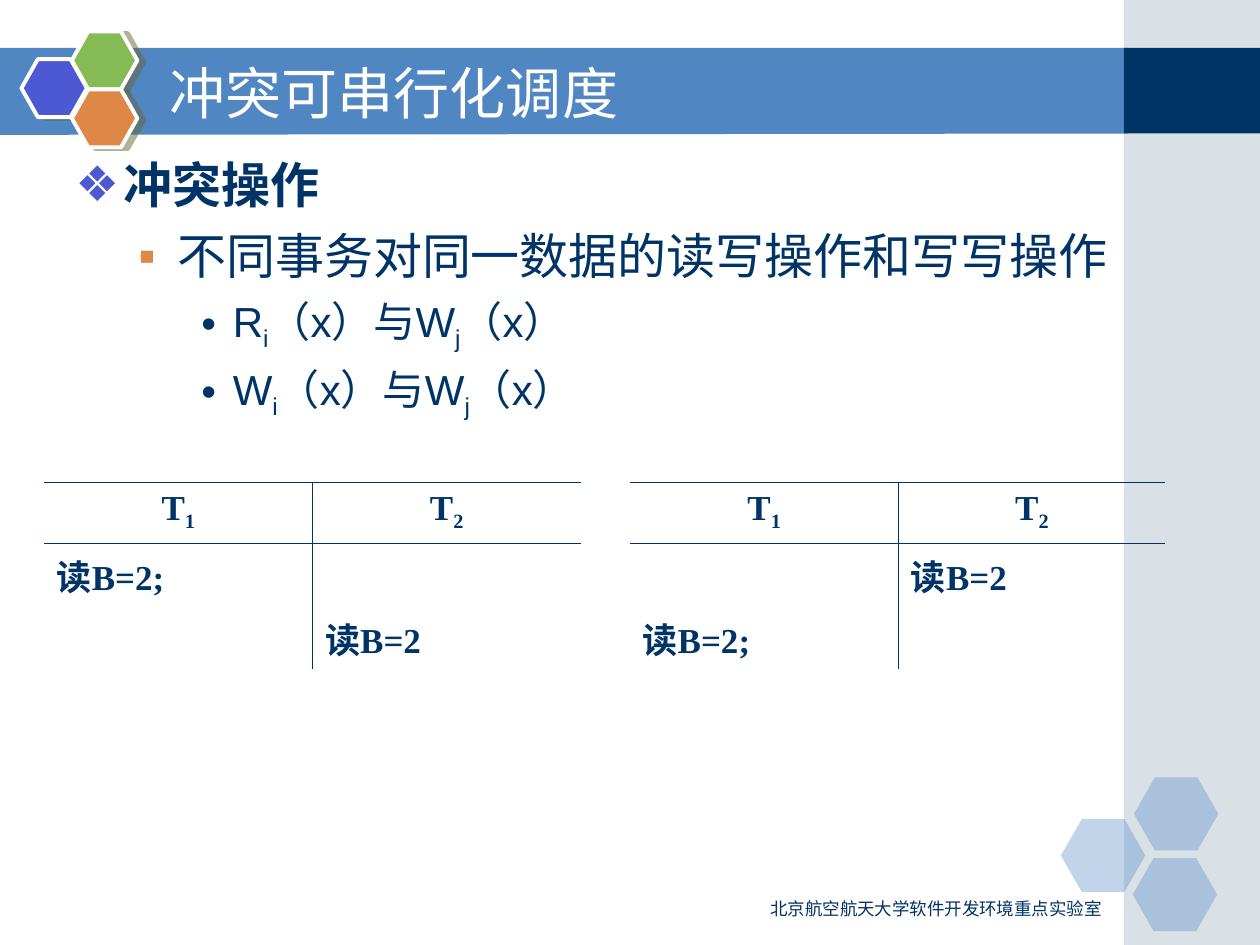
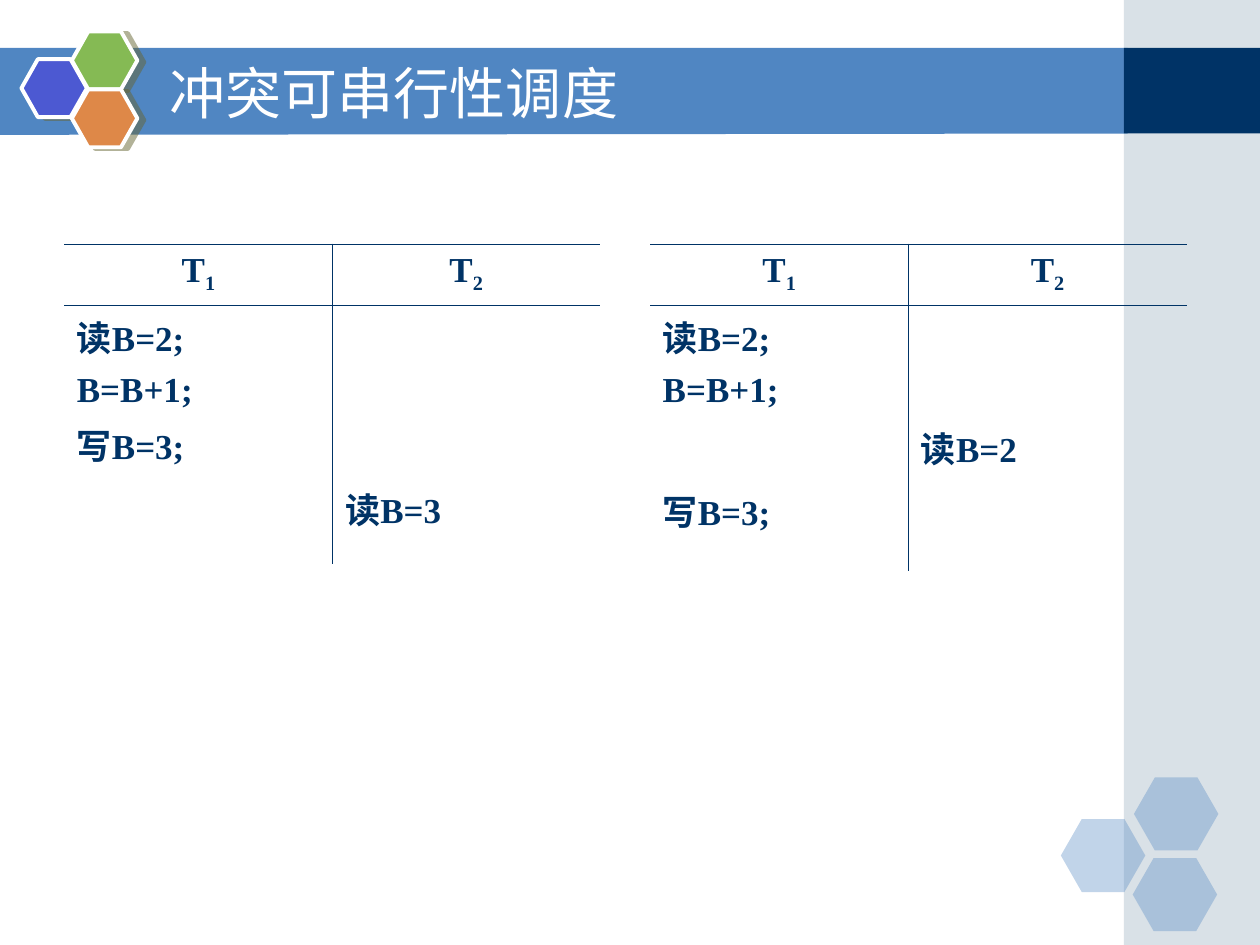
import pptx
import pptx.util
import pptx.dml.color
import pptx.enum.shapes
import pptx.enum.text
import pptx.oxml.ns
import lxml.etree

Inches = pptx.util.Inches
Pt = pptx.util.Pt
qn = pptx.oxml.ns.qn
SHAPE = pptx.enum.shapes.MSO_SHAPE
ALIGN = pptx.enum.text.PP_ALIGN

COLORS = {
    "navy": "003366", "band": "5086C2", "strip": "A0B5C4", "white": "FFFFFF",
    "violet": "4C59D2", "green": "85BA54", "orange": "DE8848", "shadow": "666633",
}
NO_GRID_STYLE = "{2D5ABB26-0587-4C30-8999-92F81FD0307C}"

SIDE_PANELS = [("strip", 0, 7.5, 40), ("navy", 0.38, 0.68, 100)]
CORNER_HEXAGONS = [(8.42, 6.5), (9, 6.17), (8.99, 6.81)]
BADGE_HEXAGONS = [("violet", 0.17, 0.47), ("green", 0.57, 0.25), ("orange", 0.57, 0.71)]

LEVELS = [
    {"indent": 0.38, "hang": 0.38, "before": 7, "bullet": "❖", "color": "violet", "size": 28},
    {"indent": 0.81, "hang": 0.31, "before": 7, "bullet": "▪", "color": "orange", "size": 28},
    {"indent": 1.25, "hang": 0.25, "before": 6, "bullet": "•", "color": "navy", "size": 24},
]
OUTLINE = [
    (0, "冲突操作"),
    (1, "不同事务对同一数据的读写操作和写写操作"),
    (2, "R_i（x）与W_j（x）"),
    (2, "W_i（x）与W_j（x）"),
]
HEADER = ("T_1", "T_2")
PAGES = [
    {
        "title": "冲突可串行化调度",
        "outline": OUTLINE,
        "footer": "北京航空航天大学软件开发环境重点实验室",
        "schedules": [
            (0.35, 3.83, [2.13, 2.13], [0.48, 0.5, 0.5],
             [HEADER, ("读B=2;", ""), ("", "读B=2")]),
            (5, 3.83, [2.13, 2.12], [0.48, 0.5, 0.5],
             [HEADER, ("", "读B=2"), ("读B=2;", "")]),
        ],
    },
    {
        "title": "冲突可串行性调度",
        "outline": [],
        "footer": "",
        "schedules": [
            (0.51, 1.94, [2.13, 2.12], [0.48, 1.36, 0.7],
             [HEADER, ("读B=2;\nB=B+1;\n写B=3;", ""), ("", "读B=3")]),
            (5.16, 1.94, [2.05, 2.21], [0.48, 0.88, 0.5, 0.73],
             [HEADER, ("读B=2;\nB=B+1;", ""), ("", "读B=2"), ("写B=3;", "")]),
        ],
    },
]


def paint(shape, color, opacity=100):
    shape.shadow.inherit = False
    shape.line.fill.background()
    shape.fill.solid()
    shape.fill.fore_color.rgb = pptx.dml.color.RGBColor.from_string(COLORS[color])
    if opacity < 100:
        tint = shape.fill._xPr.find(qn("a:solidFill"))[0]
        lxml.etree.SubElement(tint, qn("a:alpha"), val=str(opacity * 1000))


def write(para, text, size, font, color="navy", bold=False):
    first, *marked = text.split("_")
    pieces = [(first, False)]
    for part in marked:
        pieces += [(part[0], True), (part[1:], False)]
    for piece, subscript in pieces:
        if not piece:
            continue
        span = para.add_run()
        span.text = piece
        span.font.size = Pt(size)
        span.font.name = font
        span.font.bold = bold
        span.font.color.rgb = pptx.dml.color.RGBColor.from_string(COLORS[color])
        if subscript:
            span._r.get_or_add_rPr().set("baseline", "-25000")


deck = pptx.Presentation()
deck.slide_width = Inches(10)
deck.slide_height = Inches(7.5)

for content in PAGES:
    page = deck.slides.add_slide(deck.slide_layouts[6])

    outline = page.shapes.build_freeform(Inches(-0.01), Inches(0.38))
    outline.add_line_segments(
        [(Inches(x), Inches(y)) for x, y in [(8.95, 0.38), (8.95, 1.06), (-0.01, 1.07)]])
    paint(outline.convert_to_shape(), "band")

    for color, top, height, opacity in SIDE_PANELS:
        panel = page.shapes.add_shape(
            SHAPE.RECTANGLE, Inches(8.92), Inches(top), Inches(1.08), Inches(height))
        paint(panel, color, opacity)

    for left, top in CORNER_HEXAGONS:
        hexagon = page.shapes.add_shape(
            SHAPE.HEXAGON, Inches(left), Inches(top), Inches(0.67), Inches(0.58))
        hexagon.adjustments[0] = 0.286
        paint(hexagon, "band", 35)

    for color, left, top in BADGE_HEXAGONS:
        hexagon = page.shapes.add_shape(
            SHAPE.HEXAGON, Inches(left), Inches(top), Inches(0.52), Inches(0.46))
        hexagon.adjustments[0] = 0.283
        paint(hexagon, color)
        hexagon.line.color.rgb = pptx.dml.color.RGBColor.from_string(COLORS["white"])
        hexagon.line.width = Pt(2.25)
        effects = hexagon._element.spPr.find(qn("a:effectLst"))
        shadow = lxml.etree.SubElement(
            effects, qn("a:outerShdw"), dist=str(Pt(4.1)), dir=str(14 * 60000),
            algn="ctr", rotWithShape="0")
        tint = lxml.etree.SubElement(shadow, qn("a:srgbClr"), val=COLORS["shadow"])
        lxml.etree.SubElement(tint, qn("a:alpha"), val="50000")

    box = page.shapes.add_textbox(Inches(1.25), Inches(0.42), Inches(7.33), Inches(0.62))
    box.text_frame.word_wrap = True
    box.text_frame.vertical_anchor = pptx.enum.text.MSO_ANCHOR.MIDDLE
    write(box.text_frame.paragraphs[0], content["title"], 32, "DejaVu Sans", "white")

    if content["outline"]:
        box = page.shapes.add_textbox(Inches(0.5), Inches(1.18), Inches(9), Inches(5.74))
        frame = box.text_frame
        frame.word_wrap = True
        for number, (depth, text) in enumerate(content["outline"]):
            level = LEVELS[depth]
            para = frame.add_paragraph() if number else frame.paragraphs[0]
            para.level = depth
            para.space_before = Pt(level["before"])
            props = para._p.get_or_add_pPr()
            props.set("marL", str(Inches(level["indent"])))
            props.set("indent", str(-Inches(level["hang"])))
            tint = lxml.etree.SubElement(props, qn("a:buClr"))
            lxml.etree.SubElement(tint, qn("a:srgbClr"), val=COLORS[level["color"]])
            lxml.etree.SubElement(props, qn("a:buFont"), typeface="Arial")
            lxml.etree.SubElement(props, qn("a:buChar"), char=level["bullet"])
            font = "Arial" if depth else "DejaVu Sans"
            write(para, text, level["size"], font, bold=depth == 0)

    if content["footer"]:
        box = page.shapes.add_textbox(Inches(5.67), Inches(7.08), Inches(3.17), Inches(0.26))
        box.text_frame.word_wrap = True
        para = box.text_frame.paragraphs[0]
        para.alignment = ALIGN.RIGHT
        write(para, content["footer"], 10, "DejaVu Sans")

    for left, top, widths, heights, rows in content["schedules"]:
        table = page.shapes.add_table(
            len(rows), len(widths), Inches(left), Inches(top),
            Inches(sum(widths)), Inches(sum(heights))).table
        table.first_row = False
        table.horz_banding = False
        table._tbl.tblPr.find(qn("a:tableStyleId")).text = NO_GRID_STYLE
        for column, width in zip(table.columns, widths):
            column.width = Inches(width)
        for row_index, (row, height, texts) in enumerate(zip(table.rows, heights, rows)):
            row.height = Inches(height)
            for column_index, (cell, text) in enumerate(zip(row.cells, texts)):
                cell.fill.background()
                for number, line in enumerate(text.split("\n")):
                    frame = cell.text_frame
                    para = frame.add_paragraph() if number else frame.paragraphs[0]
                    para.space_before = Pt(5)
                    if row_index == 0:
                        para.alignment = ALIGN.CENTER
                    write(para, line, 20, "Times New Roman", bold=True)
                borders = [
                    ("a:lnL", 0.45 if column_index == 1 else 0),
                    ("a:lnR", 0.45 if column_index == 0 else 0),
                    ("a:lnT", {0: 1.08, 1: 0.45}.get(row_index, 0)),
                    ("a:lnB", 0.45 if row_index == 0 else 0),
                ]
                props = cell._tc.get_or_add_tcPr()
                for position, (side, weight) in enumerate(borders):
                    border = lxml.etree.Element(qn(side), w=str(Pt(weight)))
                    if weight:
                        solid = lxml.etree.SubElement(border, qn("a:solidFill"))
                        lxml.etree.SubElement(solid, qn("a:srgbClr"), val=COLORS["navy"])
                    else:
                        lxml.etree.SubElement(border, qn("a:noFill"))
                    props.insert(position, border)

deck.save("out.pptx")
